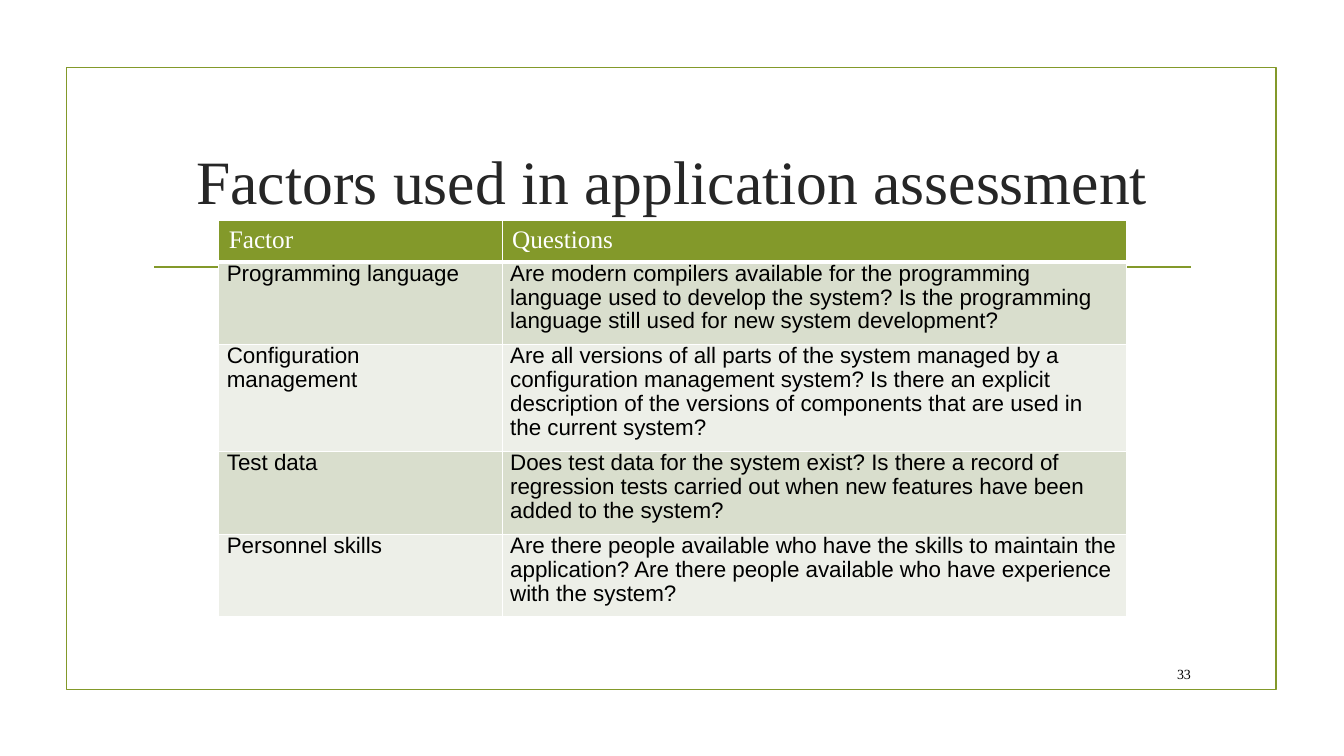
import pptx
import pptx.util
import pptx.dml.color
import pptx.enum.shapes
import pptx.enum.text
import pptx.oxml
import lxml.etree

Inches, Pt = pptx.util.Inches, pptx.util.Pt
ALIGN, ANCHOR = pptx.enum.text.PP_ALIGN, pptx.enum.text.MSO_ANCHOR
SERIF, SANS = "Times New Roman", "Arial"
GREEN, WHITE, BLACK = "83992A", "FFFFFF", "000000"
BANDS = ["D9DECD", "EDEFE8"]
HEADER = ["Factor", "Questions"]
FACTORS = [
    ("Programming language",
     "Are modern compilers available for the programming language used to develop the system? "
     "Is the programming language still used for new system development?"),
    ("Configuration management",
     "Are all versions of all parts of the system managed by a configuration management system? "
     "Is there an explicit description of the versions of components that are used in the current system?"),
    ("Test data",
     "Does test data for the system exist? Is there a record of regression tests carried out "
     "when new features have been added to the system?"),
    ("Personnel skills",
     "Are there people available who have the skills to maintain the application? "
     "Are there people available who have experience with the system?"),
]
COL_WIDTHS = [2.81, 6.19]
ROW_HEIGHTS = [0.41, 0.82, 1.06, 0.82, 0.82]


def rgb(color):
    return pptx.dml.color.RGBColor.from_string(color)


def set_text(tf, text, size, font, color, align=ALIGN.LEFT):
    tf.text = text
    tf.word_wrap = True
    p = tf.paragraphs[0]
    p.alignment = align
    f = p.runs[0].font
    f.size, f.name, f.bold = Pt(size), font, False
    f.color.rgb = rgb(color)
    return p


def set_borders(cell, color, bottom=1):
    tcPr = cell._tc.get_or_add_tcPr()
    widths = {"lnL": 1, "lnR": 1, "lnT": 1, "lnB": bottom}
    for i, (tag, width) in enumerate(widths.items()):
        tcPr.insert(i, pptx.oxml.parse_xml(
            '<a:%s xmlns:a="http://schemas.openxmlformats.org/drawingml/2006/main" w="%d">'
            '<a:solidFill><a:srgbClr val="%s"/></a:solidFill></a:%s>'
            % (tag, Pt(width), color, tag)))


def add_frame(s, x, y, w, h):
    # Green outline
    sp = s.shapes.add_shape(pptx.enum.shapes.MSO_SHAPE.RECTANGLE,
                            Inches(x), Inches(y), Inches(w), Inches(h))
    sp.shadow.inherit = False
    sp.fill.background()
    sp.line.color.rgb = rgb(GREEN)
    sp.line.width = Pt(1.25)

    # Rule under the title
    rule_y = Inches(y + 1.98)
    rule = s.shapes.add_connector(pptx.enum.shapes.MSO_CONNECTOR.STRAIGHT,
                                  Inches(x + 0.87), rule_y, Inches(x + w - 0.85), rule_y)
    rule.line.color.rgb = rgb(GREEN)
    rule.line.width = Pt(1.25)
    lxml.etree.SubElement(rule._element.spPr, pptx.oxml.ns.qn("a:effectLst"))


def add_title(s, x, y, w, h):
    sp = s.shapes.title
    sp.left, sp.top, sp.width, sp.height = Inches(x), Inches(y), Inches(w), Inches(h)
    set_text(sp.text_frame, "Factors used in application assessment", 44, SERIF,
             "262626", ALIGN.CENTER)
    sp.text_frame.vertical_anchor = ANCHOR.MIDDLE


def add_factor_table(s, x, y):
    rows = [HEADER] + FACTORS
    table = s.shapes.add_table(len(rows), len(HEADER), Inches(x), Inches(y),
                               Inches(sum(COL_WIDTHS)), Inches(sum(ROW_HEIGHTS))).table
    for col, width in zip(table.columns, COL_WIDTHS):
        col.width = Inches(width)
    for i, (row, height) in enumerate(zip(table.rows, ROW_HEIGHTS)):
        row.height = Inches(height)
        for cell, text in zip(row.cells, rows[i]):
            cell.fill.solid()
            if i == 0:
                cell.fill.fore_color.rgb = rgb(GREEN)
                set_text(cell.text_frame, text, 18, SERIF, WHITE)
                set_borders(cell, WHITE, bottom=3)
            else:
                cell.fill.fore_color.rgb = rgb(BANDS[(i - 1) % 2])
                cell.margin_left = cell.margin_right = cell.margin_bottom = Inches(0.08)
                cell.margin_top = 0
                p = set_text(cell.text_frame, text, 16, SANS, BLACK)
                p.space_after = Pt(6)
                p.line_spacing = 0.96
                set_borders(cell, WHITE)


def add_page_number(s, x, y, w, h):
    tf = s.shapes.add_textbox(Inches(x), Inches(y), Inches(w), Inches(h)).text_frame
    set_text(tf, "33", 10, SERIF, BLACK, ALIGN.RIGHT)
    tf.vertical_anchor = ANCHOR.MIDDLE


def main():
    prs = pptx.Presentation()
    prs.slide_width, prs.slide_height = Inches(13.33), Inches(7.5)
    s = prs.slides.add_slide(prs.slide_layouts[5])
    add_frame(s, 0.66, 0.67, 12, 6.17)
    add_title(s, 1.42, 1.07, 10.5, 1.43)
    add_factor_table(s, 2.17, 2.19)
    add_page_number(s, 11.32, 6.53, 0.59, 0.31)
    # The title goes in front of the frame
    tree = s.shapes._spTree
    tree.remove(title := s.shapes.title._element)
    tree.insert(4, title)
    prs.save("out.pptx")


if __name__ == "__main__":
    main()
